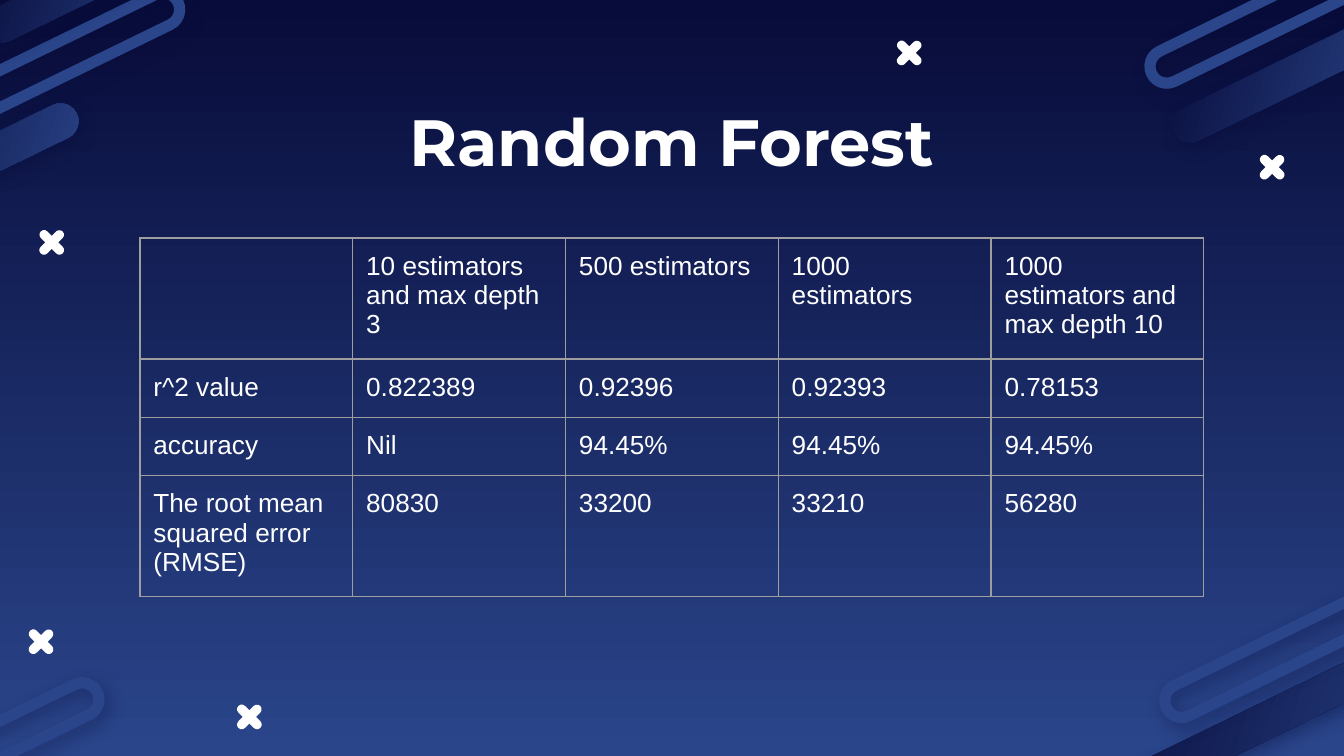
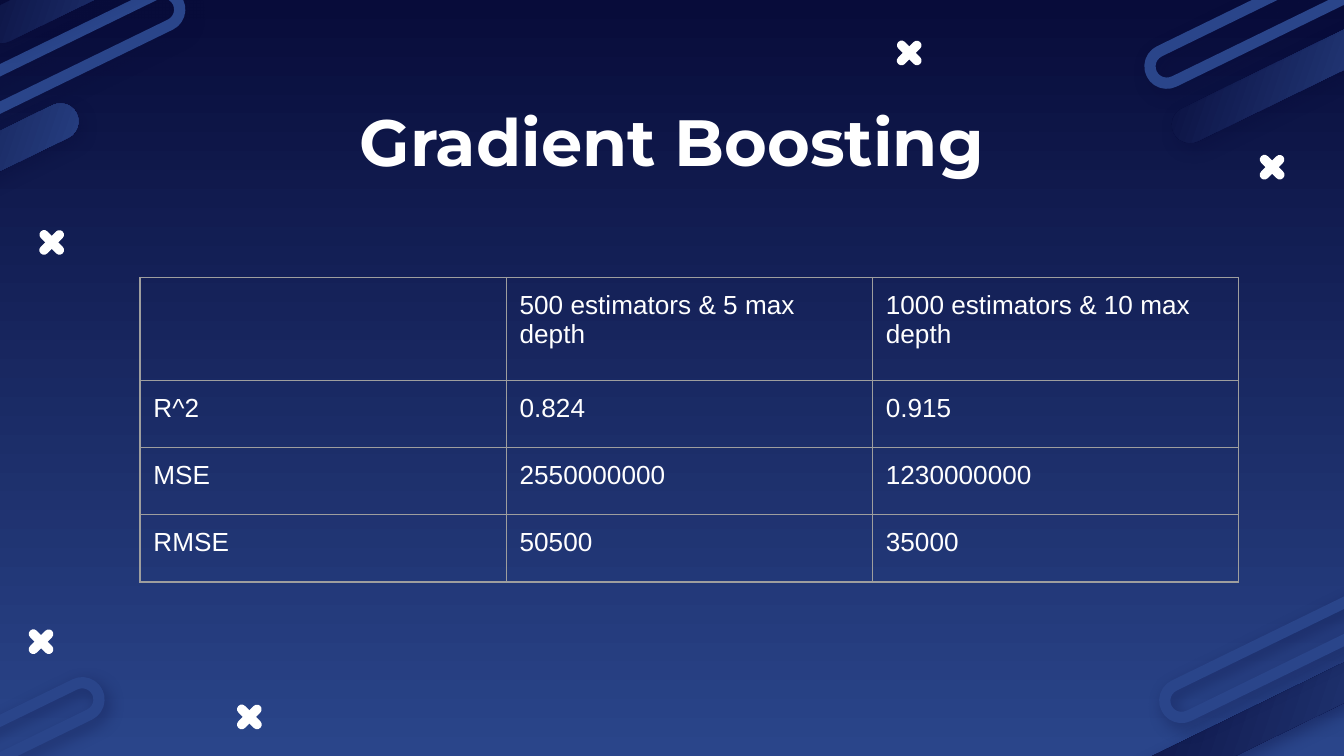
from lxml import etree
from pptx import Presentation
from pptx.dml.color import RGBColor
from pptx.enum.shapes import MSO_SHAPE
from pptx.enum.text import MSO_ANCHOR, PP_ALIGN
from pptx.oxml.ns import qn
from pptx.util import Pt

ROUND = MSO_SHAPE.ROUNDED_RECTANGLE
TOP = MSO_ANCHOR.TOP
CENTER = PP_ALIGN.CENTER

COLORS = {"dark": "080C3A", "blue": "2A458A", "white": "FFFFFF", "grid": "9E9E9E"}
HEAD, BODY = "Montserrat", "Arial"
INSET = 7.2
TILT = 334

# Left and top of each cross's bars
CROSSES = [(673.2, 87.1), (478.8, 25.9), (19.4, 127.4), (13.7, 341.3), (125.3, 381.6)]
# Kind, left, top, width; from back to front
PILLS = [
    ("ring", -85, 33.8, 190),
    ("bar", 575.3, 372.2, 223.2),
    ("bar", -14.4, -20.2, 128.2),
    ("ring", 618.5, 342.7, 126),
    ("ring", -36.7, 382.3, 93.6),
    ("bar", 622.1, 32.4, 132.5),
    ("ring", 610.6, 2.9, 126),
    ("bar", -80.6, 79.2, 128.2),
]


def rgb(name):
    return RGBColor.from_string(COLORS[name])


def node(parent, tag, **attrs):
    return etree.SubElement(parent, qn(tag), {k: str(v) for k, v in attrs.items()})


def tint(parent, name):
    return node(parent, "a:srgbClr", val=COLORS[name])


class Deck:
    def __init__(self):
        self.file = Presentation()
        self.file.slide_width, self.file.slide_height = Pt(720), Pt(405)
        self.slide = None

    def page(self, title):
        """Start a slide with the shared backdrop and title."""
        self.slide = self.file.slides.add_slide(self.file.slide_layouts[6])
        self.blend(self.slide.background.fill, 90)
        for left, top in CROSSES:
            self.cross(left, top)
        for kind, left, top, width in PILLS:
            self.pill(kind, left, top, width)
        self.title(title)

    def blend(self, fill, angle):
        """Fill from dark to blue; angle runs clockwise."""
        fill.gradient()
        fill.gradient_angle = 360 - angle
        for stop, name in zip(fill.gradient_stops, ("dark", "blue")):
            stop.color.rgb = rgb(name)

    def round(self, left, top, width, height, turn):
        shape = self.slide.shapes.add_shape(
            ROUND, Pt(left), Pt(top), Pt(width), Pt(height))
        shape.adjustments[0] = 0.5
        shape.rotation = turn
        shape.shadow.inherit = False
        return shape

    def cross(self, left, top):
        for turn in (45, 315):
            arm = self.round(left, top, 16.6, 5, turn)
            arm.fill.solid()
            arm.fill.fore_color.rgb = rgb("white")
            arm.line.fill.background()

    def pill(self, kind, left, top, width):
        ring = kind == "ring"
        shape = self.round(left, top, width, 18 if ring else 19.4, TILT)
        if ring:
            shape.fill.background()
            shape.line.color.rgb = rgb("blue")
            shape.line.width = Pt(6)
        else:
            self.blend(shape.fill, 45)
            shape.line.fill.background()
        self.shade(shape)

    def shade(self, shape):
        glow = node(shape.element.spPr.find(qn("a:effectLst")), "a:outerShdw",
                    blurRad=Pt(9), dist=Pt(3.8), dir=53 * 60000,
                    algn="bl", rotWithShape=0)
        node(tint(glow, "dark"), "a:alpha", val=36000)

    def inset(self, item):
        item.margin_left = item.margin_right = Pt(INSET)
        item.margin_top = item.margin_bottom = Pt(INSET)
        item.vertical_anchor = TOP

    def run(self, para, text, size, face, bold=False):
        run = para.add_run()
        run.text = text
        run.font.size = Pt(size)
        run.font.name = face
        run.font.bold = bold
        run.font.color.rgb = rgb("white")

    def title(self, text):
        box = self.slide.shapes.add_textbox(Pt(56.6), Pt(46.8), Pt(607), Pt(45.4))
        frame = box.text_frame
        frame.word_wrap = True
        self.inset(frame)
        para = frame.paragraphs[0]
        para.alignment = CENTER
        self.run(para, text, 35, HEAD, True)

    def table(self, top, width, highs, rows):
        """Draw rows of text; width is per column, highs per row."""
        count = len(rows[0])
        table = self.slide.shapes.add_table(
            len(rows), count, Pt(75), Pt(top), Pt(width * count), Pt(sum(highs))).table
        table.first_row = table.horz_banding = False
        for col in table.columns:
            col.width = Pt(width)
        for row, high, texts in zip(table.rows, highs, rows):
            row.height = Pt(high)
            for cell, text in zip(row.cells, texts):
                self.cell(cell, text)

    def cell(self, cell, text):
        self.inset(cell)
        props = cell._tc.get_or_add_tcPr()
        for side in ("a:lnL", "a:lnR", "a:lnT", "a:lnB"):
            line = node(props, side, w=Pt(0.75))
            tint(node(line, "a:solidFill"), "grid")
        cell.fill.background()
        if text:
            self.run(cell.text_frame.paragraphs[0], text, 14, BODY)


def main():
    deck = Deck()

    deck.page("Random Forest")
    deck.table(127.5, 114, [30] * 4, [
        ("", "10 estimators and max depth 3", "500 estimators",
         "1000 estimators", "1000 estimators and max depth 10"),
        ("r^2 value", "0.822389", "0.92396", "0.92393", "0.78153"),
        ("accuracy", "Nil", "94.45%", "94.45%", "94.45%"),
        ("The root mean squared error (RMSE)", "80830", "33200", "33210", "56280"),
    ])

    deck.page("Gradient Boosting")
    deck.table(148.6, 196.2, [55.2] + [36] * 3, [
        ("", "500 estimators & 5 max depth", "1000 estimators & 10 max depth"),
        ("R^2", "0.824", "0.915"),
        ("MSE", "2550000000", "1230000000"),
        ("RMSE", "50500", "35000"),
    ])

    deck.file.save("out.pptx")


if __name__ == "__main__":
    main()
